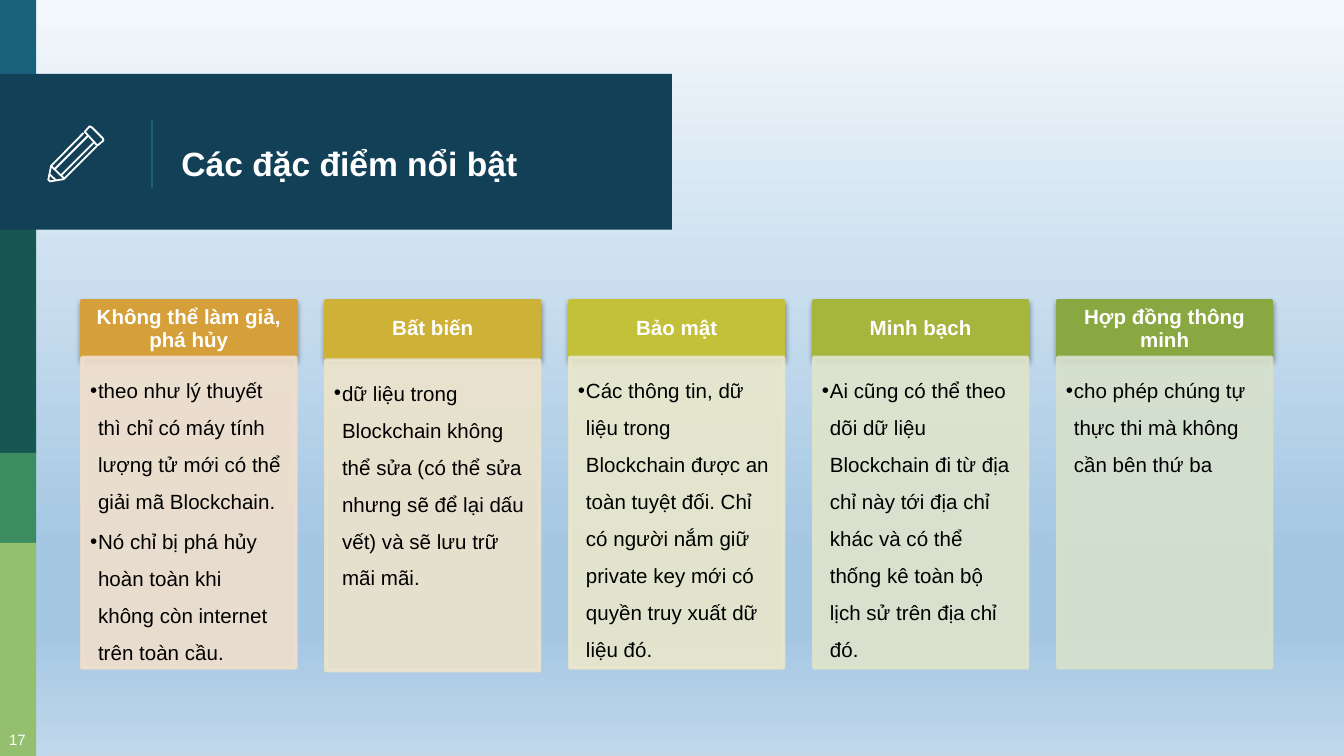
from lxml.etree import SubElement
from pptx import Presentation
from pptx.dml.color import RGBColor
from pptx.enum.shapes import MSO_CONNECTOR, MSO_SHAPE
from pptx.enum.text import MSO_ANCHOR, PP_ALIGN
from pptx.oxml.ns import qn
from pptx.util import Inches, Pt

WIDTH = 10
HEIGHT = WIDTH * 9 / 16
WHITE = RGBColor(0xFF, 0xFF, 0xFF)
BLACK = RGBColor(0x00, 0x00, 0x00)
TEAL = RGBColor(0x18, 0x63, 0x7B)
NAVY = RGBColor(0x12, 0x40, 0x57)
PINE = RGBColor(0x16, 0x57, 0x51)
GREEN = RGBColor(0x3B, 0x8D, 0x61)
LIME = RGBColor(0x94, 0xBF, 0x6E)
BACKGROUND_STOPS = [
    (0, RGBColor(0xF3, 0xF8, 0xFC)),
    (74, RGBColor(0xA3, 0xC6, 0xE2)),
    (83, RGBColor(0xA3, 0xC6, 0xE2)),
    (100, RGBColor(0xC1, 0xD8, 0xEB)),
]
SIDEBAR_WIDTH = 0.27
SIDEBAR_BANDS = [(0, 0.58, TEAL), (1.7, 3.38, PINE), (3.37, 4.04, GREEN), (4.04, HEIGHT, LIME)]
PENCIL_STROKES = [
    ([(0.66, 0.1), (0.75, 0), (0.79, 0.02), (0.99, 0.22), (1, 0.26), (0.89, 0.35)], True),
    ([(0.82, 0.3), (0.23, 0.89)], False),
    ([(0.64, 0.12), (0.05, 0.72), (0, 0.97), (0.03, 1), (0.28, 0.96), (0.88, 0.36)], False),
    ([(0.12, 0.77), (0.72, 0.17)], False),
    ([(0.14, 0.98), (0.02, 0.87)], False),
    ([(0.05, 0.72), (0.29, 0.95)], False),
]
CARD_WIDTH, HEADING_HEIGHT, BODY_HEIGHT = 1.59, 0.42, 2.31
FIRST_CARD_LEFT, LAST_CARD_LEFT = 0.61, 7.87
CARDS = [
    ("Không thể làm giả, phá hủy", RGBColor(0xD5, 0x9F, 0x39), RGBColor(0xF0, 0xDF, 0xCC), 0, [
        "theo như lý thuyết thì chỉ có máy tính lượng tử mới có thể giải mã Blockchain.",
        "Nó chỉ bị phá hủy hoàn toàn khi không còn internet trên toàn cầu."]),
    ("Bất biến", RGBColor(0xCE, 0xB1, 0x37), RGBColor(0xEC, 0xE3, 0xCB), 0.02, [
        "dữ liệu trong Blockchain không thể sửa (có thể sửa nhưng sẽ để lại dấu vết) "
        "và sẽ lưu trữ mãi mãi."]),
    ("Bảo mật", RGBColor(0xC3, 0xC0, 0x39), RGBColor(0xE9, 0xE7, 0xCB), 0, [
        "Các thông tin, dữ liệu trong Blockchain được an toàn tuyệt đối. Chỉ có người "
        "nắm giữ private key mới có quyền truy xuất dữ liệu đó."]),
    ("Minh bạch", RGBColor(0xA5, 0xB5, 0x3E), RGBColor(0xDF, 0xE4, 0xCC), 0, [
        "Ai cũng có thể theo dõi dữ liệu Blockchain đi từ địa chỉ này tới địa chỉ khác "
        "và có thể thống kê toàn bộ lịch sử trên địa chỉ đó."]),
    ("Hợp đồng thông minh", RGBColor(0x89, 0xA8, 0x42), RGBColor(0xD7, 0xE1, 0xCC), 0, [
        "cho phép chúng tự thực thi mà không cần bên thứ ba"]),
]


def paint_background(slide):
    """Fill the slide with a vertical four-stop gradient."""
    fill = slide.background.fill
    fill.gradient()
    properties = slide.background._cSld.bg.bgPr
    stops = properties.find(".//" + qn("a:gsLst"))
    for stop in list(stops):
        stops.remove(stop)
    for position, color in BACKGROUND_STOPS:
        stop = SubElement(stops, qn("a:gs"), pos=str(position * 1000))
        SubElement(stop, qn("a:srgbClr"), val=str(color))
    properties.find(".//" + qn("a:lin")).set("ang", "5400000")


def add_rectangle(slide, left, top, width, height, color):
    """Add a plain filled rectangle without outline or shadow."""
    shape = slide.shapes.add_shape(
        MSO_SHAPE.RECTANGLE, Inches(left), Inches(top), Inches(width), Inches(height))
    shape.shadow.inherit = False
    shape.fill.solid()
    shape.fill.fore_color.rgb = color
    shape.line.fill.background()
    return shape


def set_insets(text_frame, left, top, right, bottom):
    """Wrap the text and set its insets in inches."""
    text_frame.word_wrap = True
    text_frame.margin_left, text_frame.margin_top = Inches(left), Inches(top)
    text_frame.margin_right, text_frame.margin_bottom = Inches(right), Inches(bottom)


def format_paragraph(paragraph, size, color, bold=False, alignment=PP_ALIGN.LEFT, spacing=1.5):
    """Set the alignment, spacing and font of a paragraph."""
    paragraph.alignment = alignment
    paragraph.line_spacing = spacing
    paragraph.space_before = Pt(0)
    for run in paragraph.runs:
        run.font.name, run.font.size, run.font.bold = "Arial", Pt(size), bold
        run.font.color.rgb = color


def add_sidebar(slide, number):
    """Stack the colour bands on the left edge, with the page number below."""
    for top, bottom, color in SIDEBAR_BANDS:
        add_rectangle(slide, 0, top, SIDEBAR_WIDTH, bottom - top, color)
    box = slide.shapes.add_textbox(Inches(-0.06), Inches(5.27), Inches(0.38), Inches(0.35))
    set_insets(box.text_frame, 0.1, 0.1, 0.1, 0.1)
    box.text_frame.text = number
    format_paragraph(box.text_frame.paragraphs[0], 8, WHITE, alignment=PP_ALIGN.CENTER)


def add_pencil(slide, left, top, size):
    """Draw a pencil outline inside a square box."""
    pencil = slide.shapes.add_group_shape()
    for points, closed in PENCIL_STROKES:
        corners = [(Inches(left + x * size), Inches(top + y * size)) for x, y in points]
        builder = pencil.shapes.build_freeform(*corners[0])
        builder.add_line_segments(corners[1:], close=closed)
        stroke = builder.convert_to_shape()
        stroke.shadow.inherit = False
        stroke.fill.background()
        stroke.line.color.rgb = WHITE
        stroke.line.width = Pt(0.96)


def add_title_banner(slide, left, top, width, height, text):
    """Place the banner with pencil, divider and title."""
    banner = add_rectangle(slide, left, top, width, height, NAVY)
    title = slide.shapes.title
    banner._element.addnext(title._element)
    divider = slide.shapes.add_connector(
        MSO_CONNECTOR.STRAIGHT, Inches(left + 1.13), Inches(top + 0.34),
        Inches(left + 1.13), Inches(top + 0.85))
    divider.line.color.rgb = TEAL
    divider.line.width = Pt(0.75)
    SubElement(divider._element.spPr, qn("a:effectLst"))
    add_pencil(slide, left + 0.36, top + 0.39, 0.41)
    title.left, title.top = Inches(left + 1.25), Inches(top + 0.03)
    title.width, title.height = Inches(3.51), Inches(1.12)
    set_insets(title.text_frame, 0.1, 0.1, 0.1, 0.1)
    title.text_frame.vertical_anchor = MSO_ANCHOR.MIDDLE
    title.text_frame.text = text
    format_paragraph(title.text_frame.paragraphs[0], 18, WHITE, bold=True)


def add_heading_shadow(shape):
    """Cast a soft shadow straight down."""
    effects = shape._element.spPr.find(qn("a:effectLst"))
    shadow = SubElement(effects, qn("a:outerShdw"), blurRad=str(Pt(3.1)), dist=str(Pt(1.6)),
                        dir="5400000", rotWithShape="0")
    color = SubElement(shadow, qn("a:srgbClr"), val=str(BLACK))
    SubElement(color, qn("a:alpha"), val="38000")


def add_bullet(paragraph):
    """Give a paragraph a black bullet with a hanging indent."""
    properties = paragraph._p.get_or_add_pPr()
    properties.set("marL", str(Inches(0.06)))
    properties.set("indent", str(Inches(-0.08)))
    bullet_color = SubElement(properties, qn("a:buClr"))
    SubElement(bullet_color, qn("a:srgbClr"), val=str(BLACK))
    SubElement(properties, qn("a:buFont"), typeface="Arial")
    SubElement(properties, qn("a:buChar"), char="•")


def add_card(slide, left, top, card):
    """Place one coloured heading above its translucent bullet panel."""
    heading_text, heading_color, body_color, body_shift, bullets = card
    heading = add_rectangle(slide, left, top, CARD_WIDTH, HEADING_HEIGHT, heading_color)
    body = add_rectangle(
        slide, left, top + HEADING_HEIGHT + body_shift, CARD_WIDTH, BODY_HEIGHT, body_color)
    for shape, color in ((heading, heading_color), (body, body_color)):
        shape.line.color.rgb = color
        shape.line.width = Pt(2)
    add_heading_shadow(heading)
    for color in body._element.spPr.iter(qn("a:srgbClr")):
        SubElement(color, qn("a:alpha"), val="90000")

    set_insets(heading.text_frame, 0.09, 0.05, 0.09, 0.05)
    heading.text_frame.vertical_anchor = MSO_ANCHOR.MIDDLE
    heading.text_frame.text = heading_text
    format_paragraph(heading.text_frame.paragraphs[0], 11, WHITE, True, PP_ALIGN.CENTER, 0.9)

    set_insets(body.text_frame, 0.06, 0.06, 0.09, 0.1)
    body.text_frame.vertical_anchor = MSO_ANCHOR.TOP
    body.text_frame.text = "\n".join(bullets)
    for index, paragraph in enumerate(body.text_frame.paragraphs):
        format_paragraph(paragraph, 11, BLACK)
        paragraph.space_before = Pt(1.6 * index)
        add_bullet(paragraph)


def main():
    """Build and save the slide."""
    presentation = Presentation()
    presentation.slide_width, presentation.slide_height = Inches(WIDTH), Inches(HEIGHT)
    slide = presentation.slides.add_slide(presentation.slide_layouts[5])
    paint_background(slide)
    add_sidebar(slide, "17")
    add_title_banner(slide, 0, 0.55, WIDTH / 2, 1.16, "Các đặc điểm nổi bật")
    pitch = (LAST_CARD_LEFT - FIRST_CARD_LEFT) / (len(CARDS) - 1)
    for column, card in enumerate(CARDS):
        add_card(slide, FIRST_CARD_LEFT + column * pitch, 2.24, card)
    presentation.save("out.pptx")


if __name__ == "__main__":
    main()
